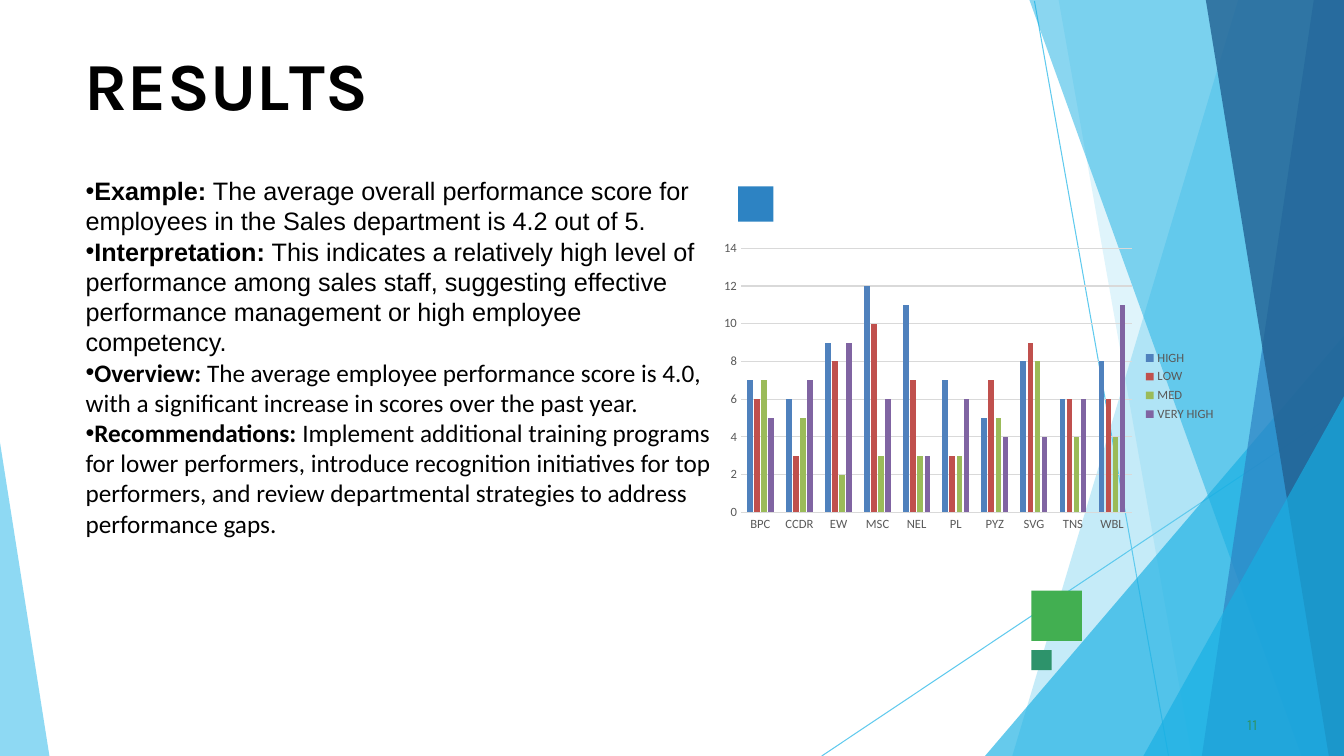
from lxml import etree
from pptx import Presentation
from pptx import util as u
from pptx.chart import data
from pptx.dml import color
from pptx.enum import chart as charts, shapes, text
from pptx.oxml import ns

WIDTH, HEIGHT = 13.33, 7.5
GUIDE_LINES = [(10.26, 0.01, 11.59, HEIGHT), (WIDTH, 4.04, 8.15, HEIGHT)]
RIGHT_FACETS = [
    ([(12.28, 0), (10.04, HEIGHT)], 0, "5FCAEE", 36),
    ([(10.5, 0), (11.82, HEIGHT)], 0, "5FCAEE", 20),
    ([(9.77, HEIGHT)], 3.33, "17AFE3", 66),
    ([(10.21, 0), (12.91, HEIGHT)], 0, "17AFE3", 50),
    ([(13.03, 0), (11.92, HEIGHT)], 0, "2D83C3", 70),
    ([(11.96, 0), (13.18, HEIGHT)], 0, "226192", 80),
    ([(11.34, HEIGHT)], 3.93, "17AFE3", 66),
]
SQUARES = [
    (10.23, 5.86, 0.5, "42AF51"),
    (7.32, 1.85, 0.35, "2D83C3"),
    (10.23, 6.45, 0.2, "2D936B"),
]
TITLE = [("R", 0), ("E", -0.4), ("S", 0.1), ("U", -0.3), ("L", -4), ("TS", 0)]
FINDINGS = [
    ("Example:", " The average overall performance score for employees in the "
     "Sales department is 4.2 out of 5.", "Arial"),
    ("Interpretation:", " This indicates a relatively high level of performance "
     "among sales staff, suggesting effective performance management or high "
     "employee competency.", "Arial"),
    ("Overview:", " The average employee performance score is 4.0, with a "
     "significant increase in scores over the past year.", "Calibri"),
    ("Recommendations:", " Implement additional training programs for lower "
     "performers, introduce recognition initiatives for top performers, and "
     "review departmental strategies to address performance gaps.", "Calibri"),
]
UNITS = ["BPC", "CCDR", "EW", "MSC", "NEL", "PL", "PYZ", "SVG", "TNS", "WBL"]
SCORES = [
    ("HIGH", (7, 6, 9, 12, 11, 7, 5, 8, 6, 8), "4F81BD"),
    ("LOW", (6, 3, 8, 10, 7, 3, 7, 9, 6, 6), "C0504D"),
    ("MED", (7, 5, 2, 3, 3, 3, 5, 8, 4, 4), "9BBB59"),
    ("VERY HIGH", (5, 7, 9, 6, 3, 6, 4, 4, 6, 11), "8064A2"),
]


def rgb(value):
    return color.RGBColor.from_string(value)


class SlideBuilder:
    """Hold the slide style and draw each kind of element on the current slide."""

    heading_font = "Karla"
    chart_font = "Calibri"
    ink, label, grid, guide = "000000", "595959", "D9D9D9", "5FCAEE"

    def __init__(self, slide):
        self.slide = slide

    def paint(self, shape, fill, opacity=100):
        shape.shadow.inherit = False
        shape.fill.solid()
        shape.fill.fore_color.rgb = rgb(fill)
        shape.line.fill.background()
        if opacity < 100:
            tint = shape.element.spPr.find(".//" + ns.qn("a:srgbClr"))
            etree.SubElement(tint, ns.qn("a:alpha"), val=str(opacity * 1000))

    def line(self, *ends):
        connector = self.slide.shapes.add_connector(
            shapes.MSO_CONNECTOR.STRAIGHT, *map(u.Inches, ends))
        connector.line.color.rgb = rgb(self.guide)
        connector.line.width = u.Pt(0.75)
        etree.SubElement(connector.element.spPr, ns.qn("a:effectLst"))

    def facet(self, points, fill, opacity):
        start, *others = [(u.Inches(x), u.Inches(y)) for x, y in points]
        builder = self.slide.shapes.build_freeform(*start)
        builder.add_line_segments(others, close=True)
        self.paint(builder.convert_to_shape(), fill, opacity)

    def square(self, left, top, side, fill):
        shape = self.slide.shapes.add_shape(
            shapes.MSO_SHAPE.RECTANGLE, *map(u.Inches, (left, top, side, side)))
        self.paint(shape, fill)

    def text_box(self, *place, insets=(0.1, 0.05, 0.1, 0.05)):
        frame = self.slide.shapes.add_textbox(*map(u.Inches, place)).text_frame
        frame.word_wrap = True
        frame.auto_size = text.MSO_AUTO_SIZE.SHAPE_TO_FIT_TEXT
        (frame.margin_left, frame.margin_top,
         frame.margin_right, frame.margin_bottom) = map(u.Inches, insets)
        return frame

    def run(self, paragraph, words, font, size, ink=ink, bold=False, spacing=0):
        run = paragraph.add_run()
        run.text = words
        run.font.name, run.font.size, run.font.bold = font, u.Pt(size), bold
        run.font.color.rgb = rgb(ink)
        if spacing:
            run.font._element.set("spc", str(round(spacing * 100)))

    def title(self, pieces):
        frame = self.text_box(0.83, 0.42, 4.59, 0.83, insets=(0.01, 0.01, 0, 0))
        paragraph = frame.paragraphs[0]
        paragraph.space_before = u.Pt(1.1)
        for words, spacing in pieces:
            self.run(paragraph, words, self.heading_font, 48, bold=True, spacing=spacing)

    def page_number(self, number):
        frame = self.text_box(12.33, 7.08, 0.25, 0.21, insets=(0.04, 0.01, 0, 0))
        paragraph = frame.paragraphs[0]
        paragraph.space_before = u.Pt(0.6)
        self.run(paragraph, number, self.heading_font, 11, "2D936B", spacing=0.1)

    def bullets(self, items):
        frame = self.text_box(0.75, 1.67, 6.42, 3.74)
        frame.vertical_anchor = text.MSO_ANCHOR.MIDDLE
        for index, (lead, detail, font) in enumerate(items):
            paragraph = frame.add_paragraph() if index else frame.paragraphs[0]
            properties = paragraph._p.get_or_add_pPr()
            properties.set("marL", "0")
            properties.set("indent", "0")
            etree.SubElement(properties, ns.qn("a:buFont"), typeface="Arial")
            etree.SubElement(properties, ns.qn("a:buChar"), char="•")
            self.run(paragraph, lead, font, 18, bold=True)
            self.run(paragraph, detail, font, 18)

    def style_font(self, font, size, ink):
        font.name, font.size = self.chart_font, u.Pt(size)
        font.color.rgb = rgb(ink)

    def column_chart(self, categories, series_rows):
        chart_data = data.CategoryChartData()
        chart_data.categories = categories
        for name, values, _ in series_rows:
            chart_data.add_series(name, values)
        chart = self.slide.shapes.add_chart(
            charts.XL_CHART_TYPE.COLUMN_CLUSTERED,
            *map(u.Inches, (7.08, 2.33, 5.08, 3)), chart_data).chart
        self.style_font(chart.font, 10, self.ink)
        chart.has_title = False
        chart.has_legend = True
        chart.legend.position = charts.XL_LEGEND_POSITION.RIGHT
        chart.legend.include_in_layout = False
        self.style_font(chart.legend.font, 9, self.label)
        plot = chart.plots[0]
        plot.gap_width, plot.overlap, plot.vary_by_categories = 219, -27, False
        for series, (_, _, fill) in zip(plot.series, series_rows):
            series.format.fill.solid()
            series.format.fill.fore_color.rgb = rgb(fill)
        for axis in (chart.category_axis, chart.value_axis):
            axis.major_tick_mark = axis.minor_tick_mark = charts.XL_TICK_MARK.NONE
            self.style_font(axis.tick_labels.font, 9, self.label)
        chart.value_axis.format.line.fill.background()
        chart.value_axis.has_major_gridlines = True
        for line in (chart.category_axis.format.line,
                     chart.value_axis.major_gridlines.format.line):
            line.color.rgb = rgb(self.grid)
            line.width = u.Pt(0.75)


def main():
    presentation = Presentation()
    presentation.slide_width = u.Inches(WIDTH)
    presentation.slide_height = u.Inches(HEIGHT)
    builder = SlideBuilder(presentation.slides.add_slide(presentation.slide_layouts[6]))
    for ends in GUIDE_LINES:
        builder.line(*ends)
    for inner_points, top, fill, opacity in RIGHT_FACETS:
        builder.facet([(WIDTH, top), *inner_points, (WIDTH, HEIGHT)], fill, opacity)
    builder.facet([(0, 4.39), (0, HEIGHT), (0.49, HEIGHT)], "5FCAEE", 70)
    for square in SQUARES:
        builder.square(*square)
    builder.title(TITLE)
    builder.page_number("11")
    builder.bullets(FINDINGS)
    builder.column_chart(UNITS, SCORES)
    presentation.save("out.pptx")


if __name__ == "__main__":
    main()
